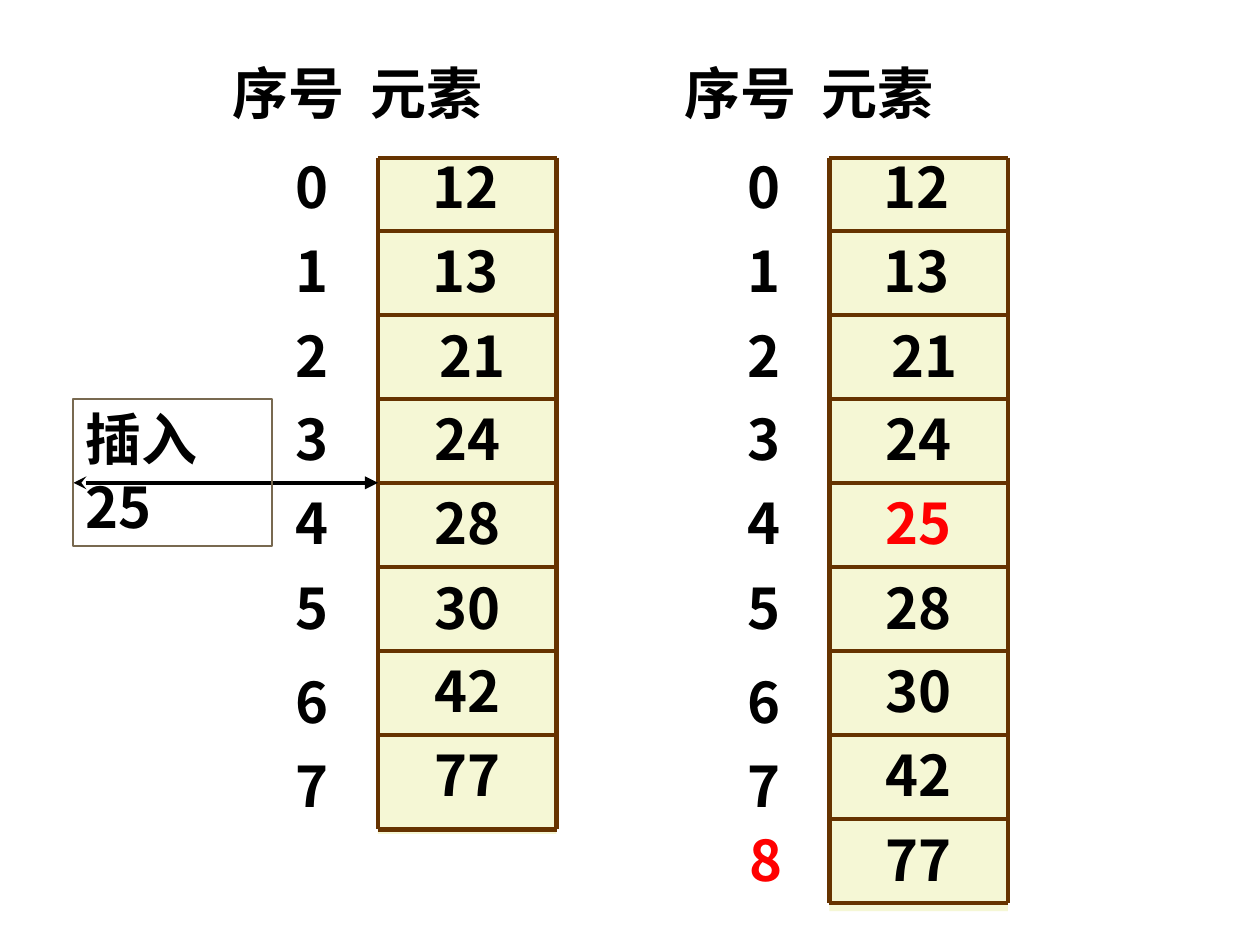
from pptx import Presentation
from pptx.dml.color import RGBColor
from pptx.enum.shapes import MSO_CONNECTOR, MSO_SHAPE
from pptx.enum.text import MSO_ANCHOR, MSO_AUTO_SIZE, PP_ALIGN
from pptx.oxml.ns import qn
from pptx.util import Cm, Pt
from lxml import etree

STRAIGHT = MSO_CONNECTOR.STRAIGHT
RECT = MSO_SHAPE.RECTANGLE
TOP = MSO_ANCHOR.TOP
GROW = MSO_AUTO_SIZE.SHAPE_TO_FIT_TEXT
LEFT, CENTER = PP_ALIGN.LEFT, PP_ALIGN.CENTER

FONT = "Noto Sans CJK SC"
BLACK, RED, BROWN, CREAM, OLIVE = "000000", "FF0000", "663300", "F5F7D5", "786950"

# Array geometry in cm
TABLE_TOP, TABLE_W = 3.18, 3.6
ROW_TOP, PITCH, TEXT_H = 2.96, 5.08 / 3, 1.63


def color(value):
    return RGBColor.from_string(value)


def row_y(i):
    return ROW_TOP + i * PITCH


def set_text(sp, text, fill=BLACK, align=LEFT, tab=None):
    tf = sp.text_frame
    for name, value in {"word_wrap": True, "auto_size": GROW,
                        "vertical_anchor": TOP}.items():
        setattr(tf, name, value)
    p = tf.paragraphs[0]
    p.alignment = align
    if tab:
        tabs = etree.SubElement(p._p.get_or_add_pPr(), qn("a:tabLst"))
        etree.SubElement(tabs, qn("a:tab"), pos=str(Cm(tab)), algn="l")
    r = p.add_run()
    r.text = text
    for name, value in {"name": FONT, "size": Pt(32), "bold": True}.items():
        setattr(r.font, name, value)
    r.font.color.rgb = color(fill)
    etree.SubElement(r._r.get_or_add_rPr(), qn("a:ea"), typeface=FONT)


def add_label(shapes, x, y, w, text, **style):
    sp = shapes.add_textbox(Cm(x), Cm(y), Cm(w), Cm(TEXT_H))
    set_text(sp, text, **style)


def add_box(shapes, x, y, w, h, fill=None, line=None):
    sp = shapes.add_shape(RECT, Cm(x), Cm(y), Cm(w), Cm(h))
    sp.shadow.inherit = False
    if fill:
        sp.fill.solid()
        sp.fill.fore_color.rgb = color(fill)
    else:
        sp.fill.background()
    if line:
        sp.line.color.rgb = color(line)
        sp.line.width = Pt(1)
    else:
        sp.line.fill.background()
    return sp


def add_line(shapes, x1, y1, x2, y2, line=BROWN, width=2.5, head=None, tail=None):
    cn = shapes.add_connector(STRAIGHT, Cm(x1), Cm(y1), Cm(x2), Cm(y2))
    cn.line.color.rgb = color(line)
    cn.line.width = Pt(width)
    spPr = cn._element.spPr
    ln = spPr.find(qn("a:ln"))
    for tag, kind in (("a:headEnd", head), ("a:tailEnd", tail)):
        if kind:
            etree.SubElement(ln, qn(tag), type=kind)
    etree.SubElement(spPr, qn("a:effectLst"))


def add_array(slide, x, bottom, fill_bottom, values, new=None):
    """Draw one indexed array; new is the row that holds the inserted value."""
    shapes = slide.shapes.add_group_shape().shapes
    right = x + TABLE_W

    # Cells
    add_box(shapes, x, TABLE_TOP, TABLE_W, fill_bottom - TABLE_TOP, fill=CREAM)
    for edge in (x, right):
        add_line(shapes, edge, TABLE_TOP, edge, bottom)
    for y in (TABLE_TOP, bottom):
        add_line(shapes, x, y, right, y)
    for i in range(1, len(values)):
        add_line(shapes, x, row_y(i), right, row_y(i), width=2.25)

    # Headings, with a tab between the two words
    add_label(shapes, x - 3.18, 1.06, 6.35, "序号\t元素", tab=2.77)

    # Indexes: 6 and 7 sit a little lower, the added 8 is red
    for i in range(len(values)):
        if i == 8:
            add_label(shapes, x - 2.12, row_y(i), 1.69, str(i), fill=RED, align=CENTER)
        else:
            add_label(shapes, x - 1.91, row_y(i) + (0.21 if i > 5 else 0),
                      1.69 if i > 5 else 1.48, str(i))

    # Values: the first three rows use a narrower box
    for i, value in enumerate(values):
        inset, w = (0.85, 2.12) if i < 3 else (0, TABLE_W)
        add_label(shapes, x + inset, row_y(i), w, str(value),
                  fill=RED if i == new else BLACK,
                  align=LEFT if i < 2 else CENTER)
    return shapes


def main():
    prs = Presentation()
    prs.slide_width, prs.slide_height = Cm(25.4), Cm(19.05)
    slide = prs.slides.add_slide(prs.slide_layouts[6])

    # Array before the insertion
    before = [12, 13, 21, 24, 28, 30, 42, 77]
    shapes = add_array(slide, 7.62, 16.72, 16.81, before)

    # Insertion arrow and its label
    add_line(shapes, 1.48, row_y(4), 7.62, row_y(4), line=BLACK,
             head="stealth", tail="triangle")
    sp = add_box(shapes, 1.48, row_y(3), 4.01, 2.97, line=OLIVE)
    set_text(sp, "插入25")

    # Array after the insertion
    after = before[:4] + [25] + before[4:]
    add_array(slide, 16.72, 18.2, 18.37, after, new=4)

    prs.save("out.pptx")


if __name__ == "__main__":
    main()
